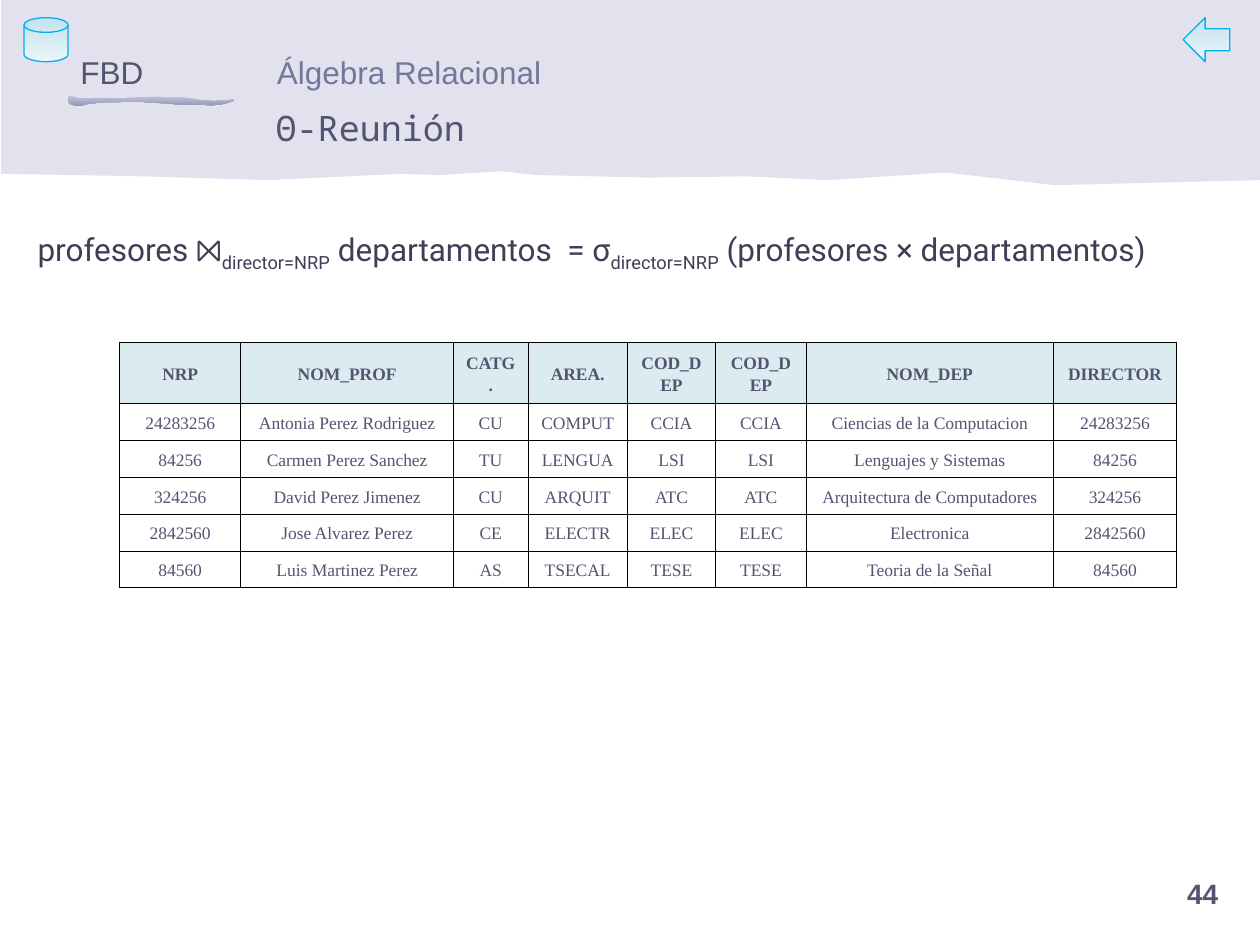
from lxml import etree
from pptx import Presentation
from pptx import util as u
from pptx.dml.color import RGBColor
from pptx.enum import shapes, text
from pptx.oxml import ns

BAND = RGBColor(0xC7, 0xC7, 0xDF)
DUSK = RGBColor(0x97, 0x97, 0xB7)
INK = RGBColor(0x54, 0x54, 0x72)
MUTED = RGBColor(0x76, 0x76, 0x9A)
DARK = RGBColor(0x3E, 0x3E, 0x56)
SKY = RGBColor(0xC2, 0xE3, 0xEF)
PALE = RGBColor(0xEC, 0xF5, 0xF9)
CYAN = RGBColor(0x00, 0xB0, 0xF0)
HEAD = RGBColor(0xDC, 0xEB, 0xF0)
BLACK = RGBColor(0x00, 0x00, 0x00)

deck = Presentation()
deck.slide_width, deck.slide_height = u.Inches(10), u.Inches(7.5)
slide = deck.slides.add_slide(deck.slide_layouts[6])
parts = slide.shapes
UNIT = deck.slide_width / 100  # square grid: 100 columns by 75 rows


def grid(*nums):
    return [round(n * UNIT) for n in nums]


def write(frame, runs, size=18, font="Arial", color=INK, bold=False, align="LEFT",
          anchor="BOTTOM", wrap=False, before=None, lead=None):
    """Fill a frame or cell; runs is a string or a list of (words, font, baseline)."""
    frame.vertical_anchor = getattr(text.MSO_ANCHOR, anchor)
    frame.word_wrap = wrap
    para = getattr(frame, "text_frame", frame).paragraphs[0]
    para.alignment = getattr(text.PP_ALIGN, align)
    para.line_spacing = lead
    if before:
        para.space_before = u.Pt(before)
    for words, face, base in [(runs, font, 0)] if isinstance(runs, str) else runs:
        run = para.add_run()
        run.text = words
        run.font.name, run.font.size, run.font.bold = face, u.Pt(size), bold
        run.font.color.rgb = color
        if base:
            run.font._element.set("baseline", str(base * 1000))


# Torn header band
edge = [(0.1, 13.8), (0.1, 0), (100, 0), (100, 14.3), (83.7, 14.7), (75.1, 13.7),
        (65.7, 14.3), (59.3, 14), (51.6, 14.1), (42.6, 13.9), (39.8, 13.6),
        (34.9, 13.9), (31.8, 13.8), (21.2, 14.3), (11.5, 14)]
pen = parts.build_freeform(*grid(*edge[0]))
pen.add_line_segments([grid(*dot) for dot in edge[1:]])
band = pen.convert_to_shape()
band.shadow.inherit = False
band.line.fill.background()
band.fill.solid()
band.fill.fore_color.rgb = BAND
tint = band._element.spPr.find(".//" + ns.qn("a:srgbClr"))
etree.SubElement(tint, ns.qn("a:alpha"), val="50000")

# Brush stroke: cubic curves as (control, control, end), sampled into short lines
curves = [
    (16.9, 8.4, 16, 8.3, 15.3, 8.3), (14.6, 8.3, 13.9, 8.3, 13.2, 8.2),
    (12.6, 8.2, 12, 8.1, 11.4, 8.1), (10.8, 8.1, 10.4, 8.1, 9.7, 8.1),
    (9, 8.1, 8, 8.1, 7.4, 8.2), (6.8, 8.2, 6.6, 8.4, 6.3, 8.4),
    (6, 8.4, 5.6, 8.3, 5.5, 8.2), (5.4, 8.1, 5.4, 7.7, 5.5, 7.6),
    (5.6, 7.5, 5.8, 7.7, 6.2, 7.8), (6.6, 7.8, 7.3, 7.8, 7.9, 7.8),
    (8.5, 7.8, 8.9, 7.8, 9.6, 7.8), (10.2, 7.8, 11.1, 7.7, 12, 7.7),
    (12.9, 7.7, 14.2, 7.7, 15, 7.8), (15.7, 7.9, 15.9, 8, 16.5, 8),
    (17.1, 8.1, 18.4, 7.9, 18.6, 7.9), (18.8, 8, 18, 8.2, 17.5, 8.3)]
x, y = 17.5, 8.3
pen = parts.build_freeform(*grid(x, y))
for ax, ay, bx, by, cx, cy in curves:
    for t in (0.25, 0.5, 0.75, 1):
        s = 1 - t
        mix = s**3, 3 * s * s * t, 3 * s * t * t, t**3
        dot = [sum(m * v for m, v in zip(mix, axis))
               for axis in ((x, ax, bx, cx), (y, ay, by, cy))]
        pen.add_line_segments([grid(*dot)], close=False)
    x, y = cx, cy
brush = pen.convert_to_shape()
brush.line.fill.background()

# Corner icons
kind = shapes.MSO_SHAPE
disk = parts.add_shape(kind.FLOWCHART_MAGNETIC_DISK, *grid(1.9, 1.4, 3.5, 3.5))
arrow = parts.add_shape(kind.LEFT_ARROW, *grid(93.9, 1.4, 3.7, 3.5))
for icon in (disk, arrow):
    icon.line.color.rgb = CYAN
    icon.line.width = u.Pt(0.75)

for item, top, low in ((brush, BAND, DUSK), (disk, SKY, PALE), (arrow, SKY, PALE)):
    item.shadow.inherit = False
    item.fill.gradient()
    item.fill.gradient_angle = 270
    for stop, hue, spot in zip(item.fill.gradient_stops, (top, low), (0, 1)):
        stop.color.rgb = hue
        stop.position = spot

# Headings, formula and page number
sub = "director=NRP"
rule = [("profesores ", "Roboto", 0), ("⨝", "Times New Roman", 0),
        (sub, "Roboto", -25), (" departamentos  = σ", "Roboto", 0),
        (sub, "Roboto", -25), (" (profesores × departamentos)", "Roboto", 0)]
for spot, words, form in (
        ((89.1, 69, 12.7, 3.7), "44", dict(size=16, bold=True, align="CENTER")),
        ((5.4, 3.7, 7, 4), "FBD", {}),
        ((21, 3.7, 23, 4), "Álgebra Relacional", dict(color=MUTED)),
        ((20.9, 6, 71.7, 6.3), "Θ-Reunión",
         dict(size=20, font="Noto Sans Mono", wrap=True)),
        ((2, 17.8, 96.3, 8.7), rule,
         dict(color=DARK, anchor="TOP", wrap=True, before=4.5))):
    write(parts.add_textbox(*grid(*spot)).text_frame, words, **form)

# Join result table
rows = [
    ("NRP", "NOM_PROF", "CATG.", "AREA.", "COD_DEP", "COD_DEP", "NOM_DEP", "DIRECTOR"),
    ("24283256", "Antonia Perez Rodriguez", "CU", "COMPUT", "CCIA", "CCIA",
     "Ciencias de la Computacion", "24283256"),
    ("84256", "Carmen Perez Sanchez", "TU", "LENGUA", "LSI", "LSI",
     "Lenguajes y Sistemas", "84256"),
    ("324256", "David Perez Jimenez", "CU", "ARQUIT", "ATC", "ATC",
     "Arquitectura de Computadores", "324256"),
    ("2842560", "Jose Alvarez Perez", "CE", "ELECTR", "ELEC", "ELEC",
     "Electronica", "2842560"),
    ("84560", "Luis Martinez Perez", "AS", "TSEСAL", "TESE", "TESE",
     "Teoria de la Señal", "84560")]
wide = grid(9.6, 16.9, 5.9, 7.9, 7, 7.2, 19.6, 9.8)
table = parts.add_table(len(rows), len(wide), *grid(9.5, 27.2, 84, 14.6)).table
table.first_row = table.horz_banding = False
for col, width in zip(table.columns, wide):
    col.width = width
for i, row in enumerate(rows):
    table.rows[i].height = grid(2.4)[0]
    for j, words in enumerate(row):
        cell = table.cell(i, j)
        write(cell, words, size=10, font="Times New Roman", bold=i == 0,
              align="CENTER", anchor="MIDDLE", wrap=True, lead=1.15)
        props = cell._tc.get_or_add_tcPr()
        for side in "LRTB":
            line = etree.SubElement(props, ns.qn("a:ln" + side), w=str(u.Pt(0.45)))
            paint = etree.SubElement(line, ns.qn("a:solidFill"))
            etree.SubElement(paint, ns.qn("a:srgbClr"), val=str(BLACK))
        if i == 0:
            cell.fill.solid()
            cell.fill.fore_color.rgb = HEAD
        else:
            cell.fill.background()

deck.save("out.pptx")
